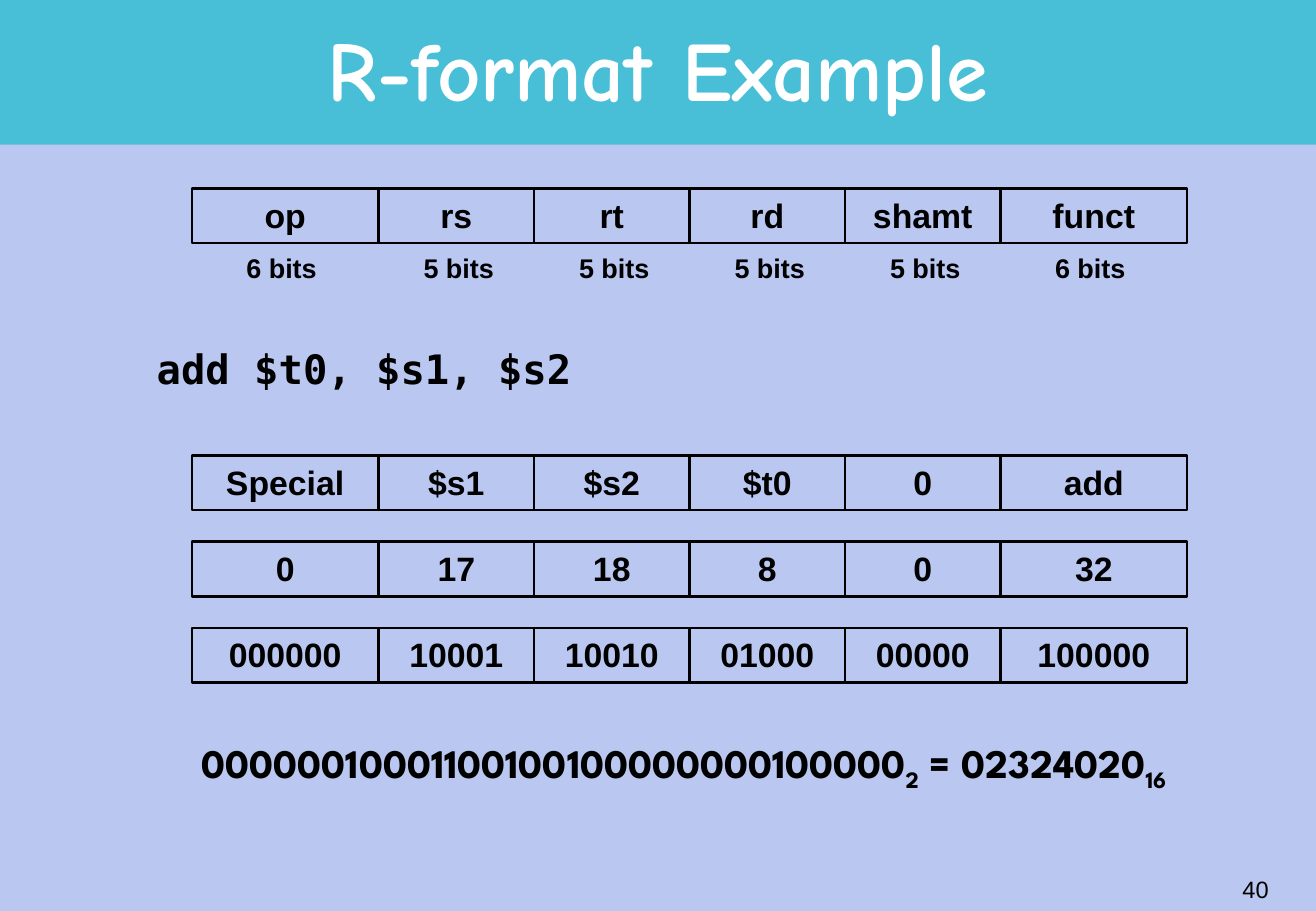
from pptx import Presentation
from pptx import util as u
from pptx.dml.color import RGBColor
from pptx.enum import shapes, text

BITS = [6, 5, 5, 5, 5, 6]
NAMES = ["op", "rs", "rt", "rd", "shamt", "funct"]
CODES = [
    ["Special", "$s1", "$s2", "$t0", "0", "add"],
    ["0", "17", "18", "8", "0", "32"],
    ["000000", "10001", "10010", "01000", "00000", "100000"],
]
LEFT, WIDE, HIGH, STEP = 1.58, 8.19, 0.45, 0.71
MID = text.PP_ALIGN.CENTER


def hue(code):
    return RGBColor.from_string(code)


def paint(item, fill=None, line=None):
    item.shadow.inherit = False
    for part, code in ((item.fill, fill), (item.line.fill, line)):
        if code:
            part.solid()
            part.fore_color.rgb = hue(code)
        else:
            part.background()


def write(item, parts, size, face="Arial", color="000000", bold=True, frame=None, para=None):
    body = item.text_frame
    look = {"word_wrap": True, "vertical_anchor": text.MSO_ANCHOR.TOP}
    for key, val in {**look, **(frame or {})}.items():
        setattr(body, key, val)
    line = body.paragraphs[0]
    for key, val in {"alignment": MID, **(para or {})}.items():
        setattr(line, key, val)
    for words, base in parts:
        run = line.add_run()
        run.text = words
        for key, val in {"size": u.Pt(size), "name": face, "bold": bold}.items():
            setattr(run.font, key, val)
        run.font.color.rgb = hue(color)
        if base:
            run._r.get_or_add_rPr().set("baseline", str(base * 1000))


def note(slide, box, parts, size, **look):
    item = slide.shapes.add_textbox(*map(u.Inches, box))
    write(item, parts, size, **look)


def header(slide, box, title):
    left, top, wide, high = box
    band = slide.shapes.add_shape(shapes.MSO_SHAPE.RECTANGLE, *map(u.Inches, box))
    paint(band, fill="49BFD7")
    note(slide, (left + 0.81, top + 0.13, wide - 1.62, 0.99), [(title, 0)], 50,
         face="Comic Neue", color="FFFFFF",
         frame={"vertical_anchor": text.MSO_ANCHOR.MIDDLE}, para={"line_spacing": 0.85})


def spans(left, wide):
    unit = wide / sum(BITS)
    for bits in BITS:
        yield left, bits * unit
        left += bits * unit


def fields(slide, box, words):
    left, top, wide, high = box
    for word, (x, w) in zip(words, spans(left, wide)):
        cell = slide.shapes.add_shape(
            shapes.MSO_SHAPE.RECTANGLE, *map(u.Inches, (x, top, w, high)))
        paint(cell, line="000000")
        cell.line.width = u.Pt(1.5)
        write(cell, [(word, 0)], 20)


def widths(slide, box):
    left, top, wide, high = box
    for bits, (x, w) in zip(BITS, spans(left, wide)):
        shift = -0.03 if bits == 6 else 0.02
        note(slide, (x + shift, top, w, high), [(f"{bits} bits", 0)], 16)


def command(slide, box, words):
    note(slide, box, [(words, 0)], 24, face="DejaVu Sans Mono",
         frame={"margin_left": u.Inches(0.48)},
         para={"alignment": text.PP_ALIGN.LEFT, "line_spacing": 0.9,
               "space_before": u.Pt(3.6)})


def result(slide, box):
    parts = [("00000010001100100100000000100000", 0), ("2", -25),
             (" = 02324020", 0), ("16", -25)]
    note(slide, box, parts, 24, face="League Spartan",
         para={"line_spacing": 0.9, "space_before": u.Pt(3.6)})


def number(slide, box, words):
    note(slide, box, [(words, 0)], 14, bold=False,
         frame={"vertical_anchor": text.MSO_ANCHOR.MIDDLE},
         para={"alignment": text.PP_ALIGN.RIGHT})


def main():
    deck = Presentation()
    deck.slide_width, deck.slide_height = u.Inches(10.83), u.Inches(7.5)
    slide = deck.slides.add_slide(deck.slide_layouts[6])
    back = slide.background.fill
    back.solid()
    back.fore_color.rgb = hue("BAC8F1")
    header(slide, (0, 0, 10.83, 1.19), "R-format Example")
    fields(slide, (LEFT, 1.55, WIDE, HIGH), NAMES)
    widths(slide, (LEFT, 2.02, WIDE, 0.37))
    command(slide, (0.81, 2.83, 9.21, 0.7), "add $t0, $s1, $s2")
    for row, words in enumerate(CODES):
        fields(slide, (LEFT, 3.75 + row * STEP, WIDE, HIGH), words)
    result(slide, (0.81, 6.03, 9.64, 0.55))
    number(slide, (8.28, 7.07, 2.26, 0.5), "40")
    deck.save("out.pptx")


if __name__ == "__main__":
    main()
